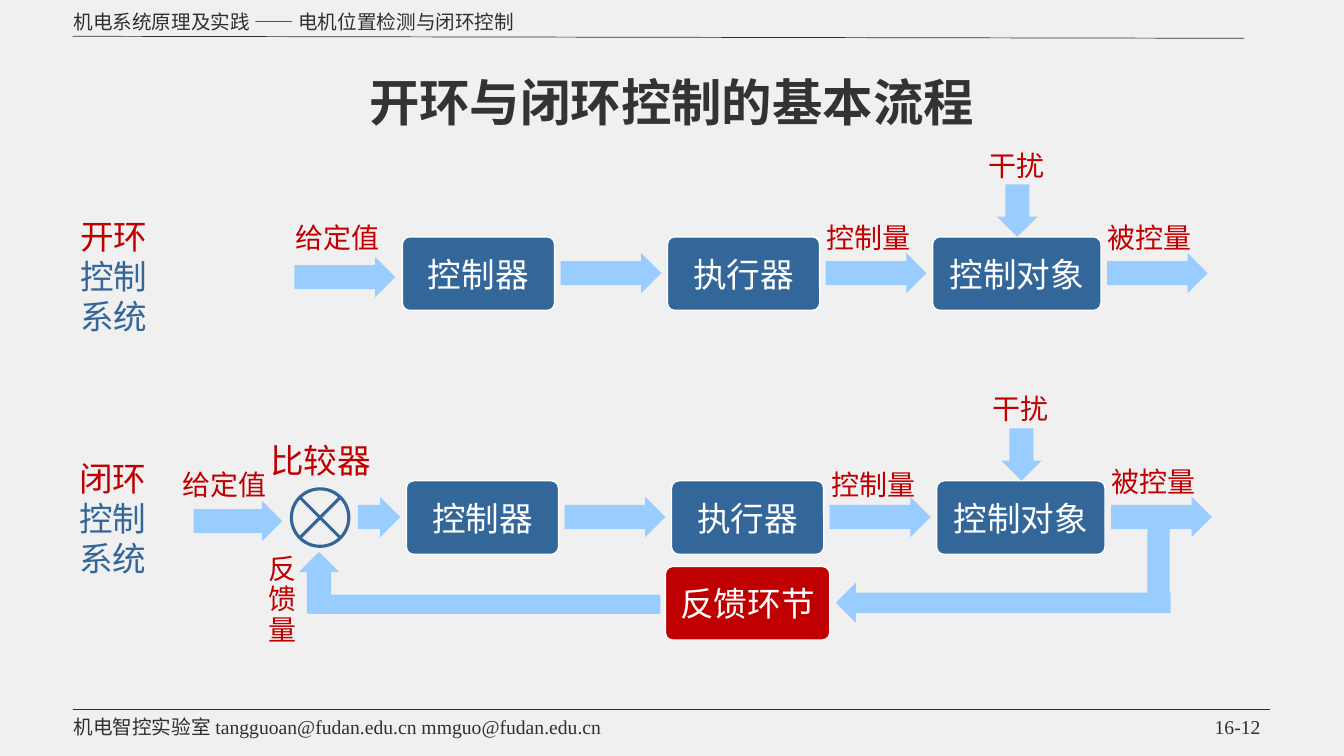
import lxml.etree
import pptx
import pptx.dml.color
import pptx.enum.shapes
import pptx.enum.text
import pptx.oxml.ns
import pptx.util

PX = 9144
COLORS = {
    "page": "F0F0F0", "ink": "2F2F2F", "title": "333333", "blue": "336699",
    "sky": "99CCFF", "red": "C00000", "white": "FFFFFF",
}
LATIN = "Times New Roman"
CHINESE = "Noto Sans CJK SC"
SHAPE = pptx.enum.shapes.MSO_SHAPE
ALIGN = pptx.enum.text.PP_ALIGN
ANCHOR = pptx.enum.text.MSO_ANCHOR


def px(*lengths):
    """Turn whole px lengths into EMU."""
    return [length * PX for length in lengths]


def rgb(name):
    """Look up a named colour."""
    return pptx.dml.color.RGBColor.from_string(COLORS[name])


def style_span(span, size, color, font=LATIN, bold=False):
    """Set the font of one run."""
    span.font.size = pptx.util.Pt(size)
    span.font.name = font
    span.font.bold = bold
    span.font.color.rgb = rgb(color)


def write(box, spans, size, align=ALIGN.CENTER, anchor=ANCHOR.MIDDLE, bold=False, spacing=None):
    """Fill a box with one paragraph of (text, colour, font) spans."""
    frame = box.text_frame
    frame.word_wrap = True
    frame.vertical_anchor = anchor
    para = frame.paragraphs[0]
    para.alignment = align
    if spacing:
        para.line_spacing = spacing
    for text, color, font in spans:
        span = para.add_run()
        span.text = text
        style_span(span, size, color, font, bold)


def add_text(page, at, spans, size, align=ALIGN.LEFT, **options):
    """Add a text box anchored at its top."""
    box = page.shapes.add_textbox(*px(*at))
    write(box, spans, size, align, ANCHOR.TOP, **options)


def add_figure(shapes, kind, at, fill=None, line=None, width=1, adjust=(), rotation=0):
    """Add a preset shape without shadow."""
    figure = shapes.add_shape(kind, *px(*at))
    figure.shadow.inherit = False
    figure.rotation = rotation
    for index, value in enumerate(adjust):
        figure.adjustments[index] = value
    if fill:
        figure.fill.solid()
        figure.fill.fore_color.rgb = rgb(fill)
    else:
        figure.fill.background()
    if line:
        figure.line.color.rgb = rgb(line)
        figure.line.width = pptx.util.Pt(width)
    else:
        figure.line.fill.background()
    return figure


def add_block(shapes, text, at, fill="blue"):
    """Add a filled process block."""
    block = add_figure(shapes, SHAPE.ROUNDED_RECTANGLE, at, fill, "white", adjust=[0.1])
    write(block, [(text, "white", LATIN)], 24)


def add_label(shapes, text, at, size=20, spacing=None):
    """Add a red signal label."""
    label = add_figure(shapes, SHAPE.ROUNDED_RECTANGLE, at, adjust=[0.1])
    write(label, [(text, "red", LATIN)], size, spacing=spacing)


def add_arrow(shapes, at, rotation=0, shaft=0.6):
    """Add a signal arrow."""
    add_figure(shapes, SHAPE.RIGHT_ARROW, at, "sky", adjust=[shaft, 0.5], rotation=rotation)


def add_line(shapes, ends, color, width):
    """Add a straight line without shadow."""
    line = shapes.add_connector(pptx.enum.shapes.MSO_CONNECTOR.STRAIGHT, *px(*ends))
    line.line.color.rgb = rgb(color)
    line.line.width = pptx.util.Pt(width)
    properties = line.element.find(pptx.oxml.ns.qn("p:spPr"))
    lxml.etree.SubElement(properties, pptx.oxml.ns.qn("a:effectLst"))


def add_system_name(page, mode, at):
    """Name a control system at the left edge."""
    name = add_figure(page.shapes, SHAPE.ROUNDED_RECTANGLE, at, adjust=[0.1])
    write(name, [(mode, "red", LATIN), ("控制系统", "blue", LATIN)], 24)


def add_forward_path(shapes, left, top):
    """Draw the chain from controller to controlled output."""
    for text, offset, width in (("控制器", 0, 151), ("执行器", 263, 151), ("控制对象", 526, 167)):
        add_block(shapes, text, (left + offset, top, width, 73))
    for offset in (157, 420, 699):
        add_arrow(shapes, (left + offset, top + 16, 100, 40))
    add_arrow(shapes, (left + 584, top - 46, 52, 40), 90)
    add_label(shapes, "被控量", (left + 677, top - 26, 128, 52))
    add_label(shapes, "干扰", (left + 562, top - 91, 95, 39))


def add_open_loop(page):
    """Draw the open-loop system."""
    shapes = page.shapes.add_group_shape().shapes
    add_forward_path(shapes, 399, 235)
    add_arrow(shapes, (292, 255, 100, 40))
    add_label(shapes, "控制量", (797, 209, 128, 52))
    add_label(shapes, "给定值", (271, 209, 128, 52))
    add_system_name(page, "开环", (60, 210, 106, 128))


def add_closed_loop(page):
    """Draw the closed-loop system with comparator and feedback."""
    shapes = page.shapes.add_group_shape().shapes
    add_forward_path(shapes, 403, 477)
    add_arrow(shapes, (192, 497, 88, 40))
    add_label(shapes, "控制量", (802, 454, 128, 52))
    add_label(shapes, "给定值", (159, 454, 128, 52))
    add_figure(shapes, SHAPE.OVAL, (289, 485, 57, 57), line="blue", width=2.25)
    for start, end in ((338, 297), (297, 338)):
        add_line(shapes, (start, 493, end, 534), "blue", 2.25)
    add_arrow(shapes, (355, 493, 42, 40))
    add_block(shapes, "反馈环节", (660, 562, 163, 73), "red")
    add_figure(shapes, SHAPE.RECTANGLE, (1117, 546, 64, 22), "sky", rotation=270)
    add_arrow(shapes, (829, 578, 332, 40), 180, 0.5)
    add_figure(shapes, SHAPE.RECTANGLE, (306, 590, 349, 19), "sky")
    add_arrow(shapes, (286, 558, 61, 40), 270)
    add_label(shapes, "反馈量", (251, 533, 58, 126), spacing=0.9)
    add_label(shapes, "比较器", (254, 430, 128, 52), 24)
    add_system_name(page, "闭环", (59, 448, 106, 132))


def add_page_frame(page):
    """Add header, footer, rules, title and page number."""
    add_text(page, (63, 5, 913, 34),
             [("机电系统原理及实践 —— 电机位置检测与闭环控制", "ink", CHINESE)], 14)
    add_text(page, (63, 704, 1100, 34),
             [("机电智控实验室 ", "ink", CHINESE),
              ("tangguoan@fudan.edu.cn mmguo@fudan.edu.cn", "ink", LATIN)], 14)
    add_line(page.shapes, (72, 704, 1260, 704), "ink", 0.5)
    add_line(page.shapes, (72, 36, 1234, 38), "ink", 0.5)
    add_text(page, (72, 72, 1188, 50), [("开环与闭环控制的基本流程", "title", LATIN)],
             36, ALIGN.CENTER, bold=True, spacing=0.9)
    add_text(page, (969, 704, 291, 24), [("16-12", "ink", LATIN)], 14, ALIGN.RIGHT)


def main():
    """Build the slide and save it."""
    deck = pptx.Presentation()
    deck.slide_width, deck.slide_height = px(1333, 750)
    page = deck.slides.add_slide(deck.slide_layouts[6])
    page.background.fill.solid()
    page.background.fill.fore_color.rgb = rgb("page")
    add_page_frame(page)
    add_open_loop(page)
    add_closed_loop(page)
    deck.save("out.pptx")


if __name__ == "__main__":
    main()
